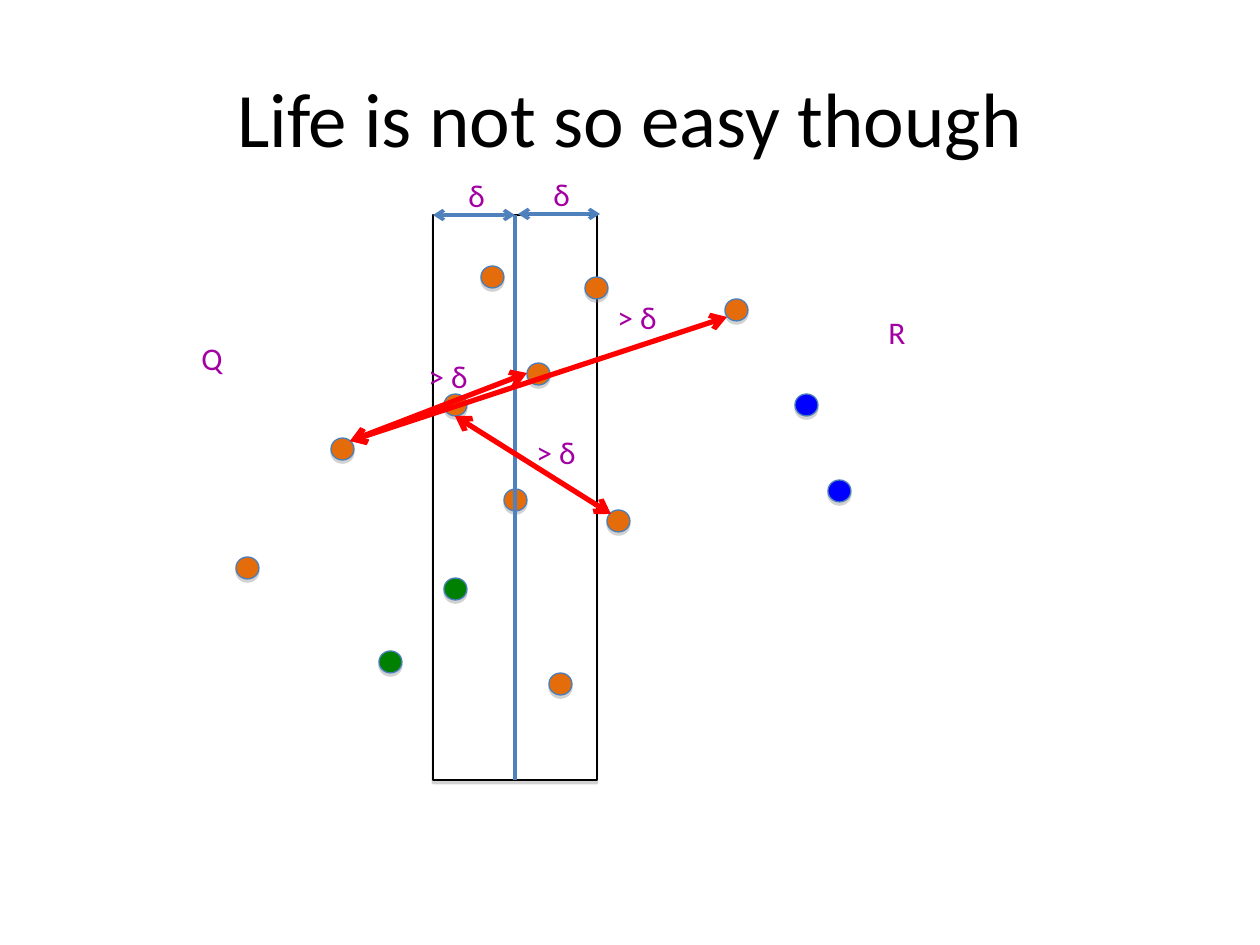
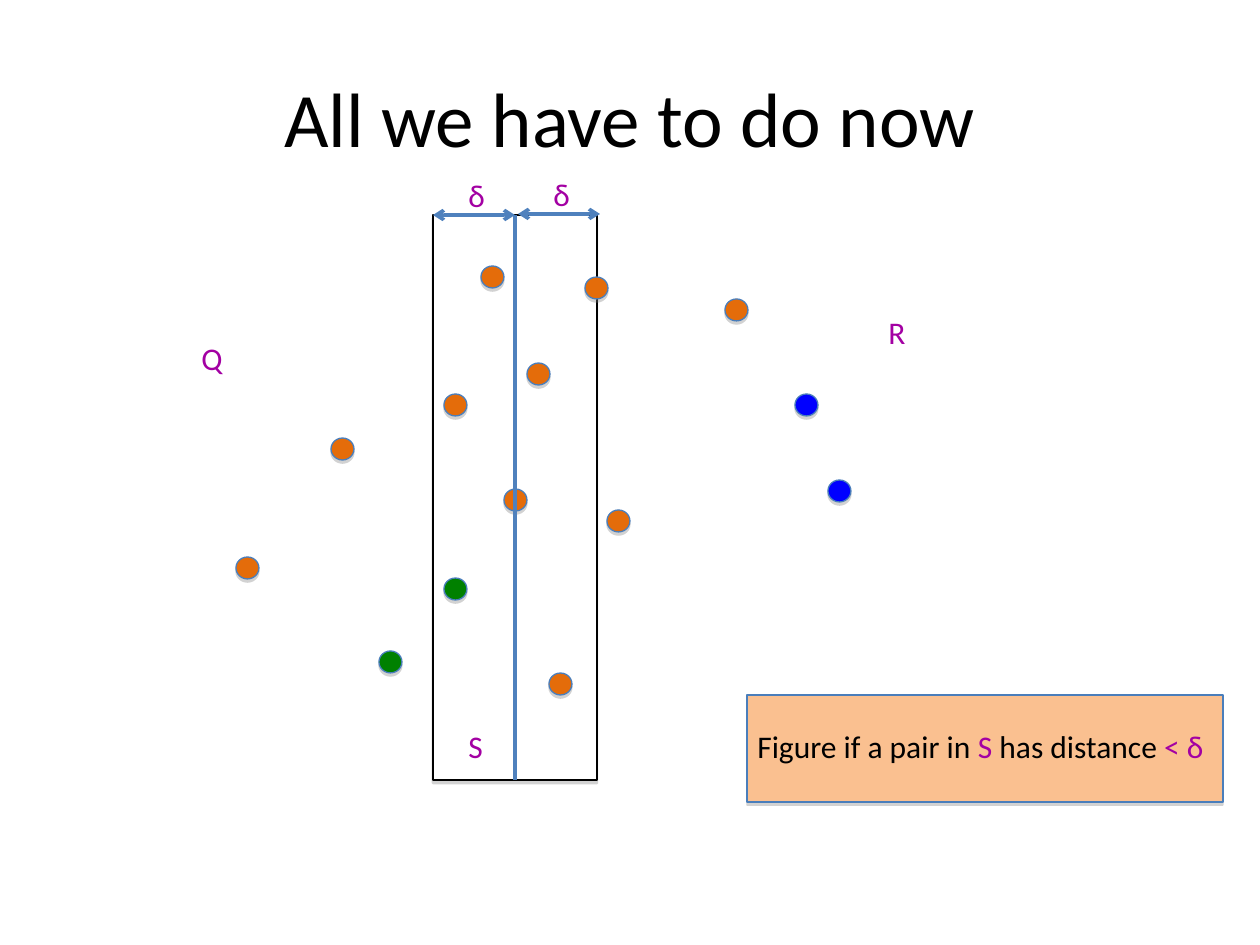
from lxml import etree
from pptx import Presentation, util as u
from pptx.dml.color import RGBColor
from pptx.enum import shapes, text
from pptx.oxml import parse_xml
from pptx.oxml.ns import nsdecls, qn

PX = 914400 / 126
FONT = "Calibri"
BLACK, WHITE, RED = "000000", "FFFFFF", "FF0000"
PURPLE, BLUE_LINE, BLUE_EDGE = "A300A3", "4F81BD", "4A7EBB"
ORANGE, GREEN, BLUE, PEACH = "E46C0A", "008000", "0000FF", "FAC090"

STRIP = (433, 215, 164, 565)
POINT_SIZE = (23, 22)
POINTS = {
    ORANGE: [(481, 266), (331, 438), (725, 299), (527, 363), (444, 394),
             (236, 557), (504, 489), (585, 277), (607, 510), (549, 673)],
    GREEN: [(444, 578), (379, 651)],
    BLUE: [(795, 394), (828, 480)],
}
SHADOW = ('<a:outerShdw %s blurRad="0" dist="23000" dir="5400000" rotWithShape="0">'
          '<a:srgbClr val="808080"><a:alpha val="35000"/></a:srgbClr>'
          '</a:outerShdw>' % nsdecls("a"))


def px(*lengths):
    return [u.Emu(round(n * PX)) for n in lengths]


def rgb(color):
    return RGBColor.from_string(color)


def style_run(r, size, color):
    r.font.name = FONT
    r.font.size = u.Pt(size)
    r.font.color.rgb = rgb(color)


def add_title(s, words):
    sp = s.shapes.title
    sp.left, sp.top, sp.width, sp.height = px(63, 38, 1134, 157)
    tf = sp.text_frame
    tf.text = words
    tf.vertical_anchor = text.MSO_ANCHOR.MIDDLE
    p = tf.paragraphs[0]
    p.alignment = text.PP_ALIGN.CENTER
    style_run(p.runs[0], 44, BLACK)


def add_figure(s, kind, box, fill, line, weight=0.75):
    """Add a filled, outlined shape with the soft shadow below it."""
    sp = s.shapes.add_shape(kind, *px(*box))
    sp.fill.solid()
    sp.fill.fore_color.rgb = rgb(fill)
    sp.line.color.rgb = rgb(line)
    sp.line.width = u.Pt(weight)
    sp.shadow.inherit = False
    sp._element.spPr.find(qn("a:effectLst")).append(parse_xml(SHADOW))
    return sp


def add_line(s, start, end, color, weight, arrows=False):
    cx = s.shapes.add_connector(shapes.MSO_CONNECTOR.STRAIGHT, *px(*start, *end))
    cx.line.color.rgb = rgb(color)
    cx.line.width = u.Pt(weight)
    if arrows:
        ln = cx.line._get_or_add_ln()
        for tag in ("a:headEnd", "a:tailEnd"):
            etree.SubElement(ln, qn(tag), type="arrow")
    etree.SubElement(cx._element.spPr, qn("a:effectLst"))
    return cx


def add_label(s, left, top, width, *parts):
    """Add one line of text; parts are (words, color) pairs."""
    tf = s.shapes.add_textbox(*px(left, top, width, 50)).text_frame
    tf.word_wrap = False
    tf.auto_size = text.MSO_AUTO_SIZE.SHAPE_TO_FIT_TEXT
    p = tf.paragraphs[0]
    for words, color in parts:
        r = p.add_run()
        r.text = words
        style_run(r, 18, color)


def add_points_slide(prs, title):
    """Add a slide with the point set, the strip and its two halves."""
    s = prs.slides.add_slide(prs.slide_layouts[5])
    add_title(s, title)
    strip = add_figure(s, shapes.MSO_SHAPE.RECTANGLE, STRIP, WHITE, BLACK, 1.5)
    for color, corners in POINTS.items():
        for corner in corners:
            add_figure(s, shapes.MSO_SHAPE.OVAL, corner + POINT_SIZE, color, BLUE_EDGE)

    left, top, width, height = STRIP
    middle = left + width // 2
    divider = add_line(s, (middle, top), (middle, top + height), BLUE_LINE, 2)
    divider.begin_connect(strip, 0)
    divider.end_connect(strip, 2)
    add_label(s, 189, 333, 47, ("Q", PURPLE))
    add_label(s, 876, 307, 42, ("R", PURPLE))
    for x, y in ((left, top), (middle + 3, top - 1)):
        add_line(s, (x, y), (x + width // 2, y), BLUE_LINE, 2, arrows=True)
        add_label(s, x + 23, y - 45, 42, ("δ", PURPLE))
    return s


def add_distance(s, start, end, label):
    add_line(s, start, end, RED, 3, arrows=True)
    add_label(s, *label, 72, ("> δ", PURPLE))


def main():
    prs = Presentation()
    prs.slide_width, prs.slide_height = px(1260, 945)

    s = add_points_slide(prs, "Life is not so easy though")
    add_distance(s, (350, 441), (727, 317), (605, 292))
    add_distance(s, (455, 416), (611, 514), (524, 427))
    add_distance(s, (350, 441), (527, 373), (416, 351))

    s = add_points_slide(prs, "All we have to do now")
    add_label(s, 456, 721, 39, ("S", PURPLE))
    add_figure(s, shapes.MSO_SHAPE.RECTANGLE, (747, 695, 476, 107), PEACH, BLUE_EDGE)
    add_label(s, 745, 721, 479, ("Figure if a pair in ", BLACK), ("S", PURPLE),
              (" has distance ", BLACK), ("< δ", PURPLE))

    prs.save("out.pptx")


if __name__ == "__main__":
    main()
